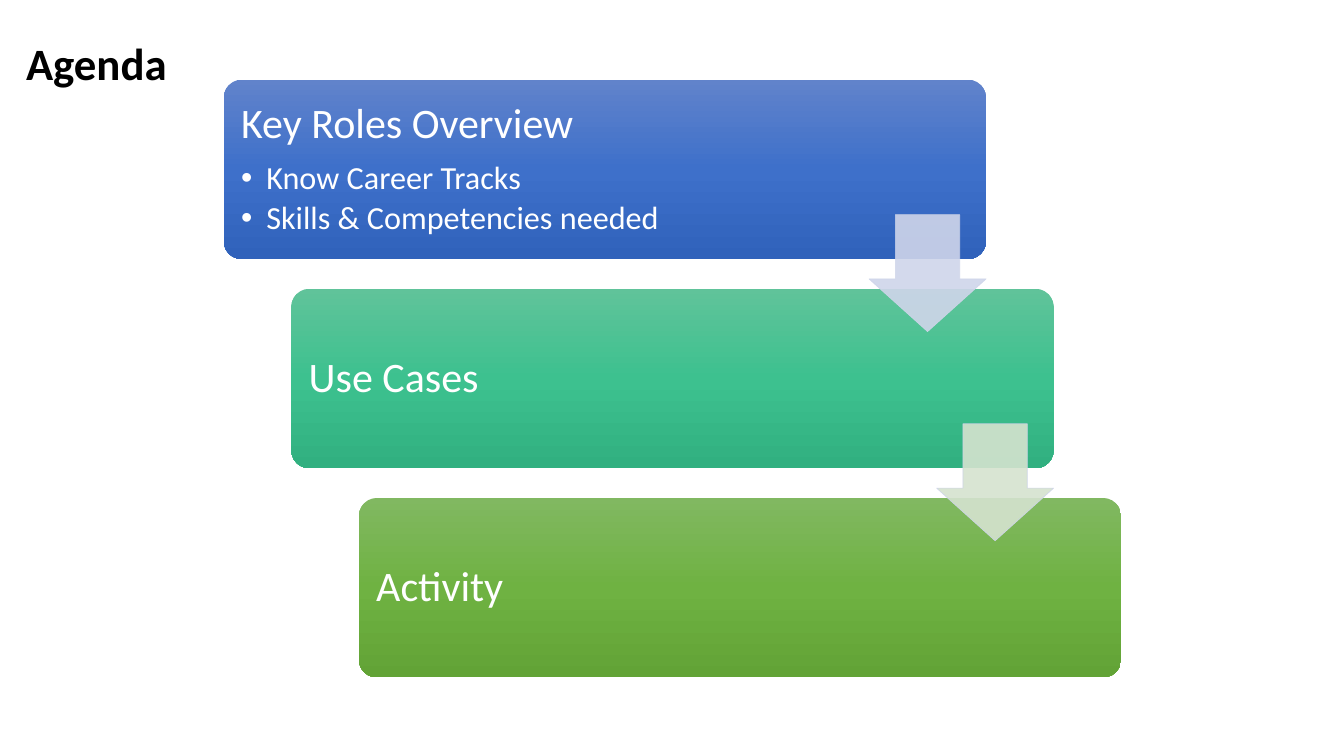
import copy
from dataclasses import dataclass

import lxml.etree
import pptx
import pptx.dml.color
import pptx.enum.shapes
import pptx.enum.text
import pptx.oxml.ns
import pptx.util

PX = 9144  # EMU: 100 px to the inch


@dataclass(frozen=True)
class Theme:
    font: str = "Calibri"
    title_size: int = 32
    topic_size: int = 30
    detail_size: int = 23
    title_color: str = "000000"
    topic_color: str = "FFFFFF"
    arrow_line: str = "CFD5EA"
    arrow_opacity: int = 90
    card_gradients: tuple = (
        ("6183CB", "3E70CA", "3062BB"),
        ("60C39A", "3DC18F", "31B080"),
        ("81B861", "6FB242", "62A336"),
    )
    arrow_fills: tuple = ("CFD5EA", "D5E3CF")


THEME = Theme()
AGENDA = (
    ("Key Roles Overview", ("Know Career Tracks", "Skills & Competencies needed")),
    ("Use Cases", ()),
    ("Activity", ()),
)


def px(length):
    return pptx.util.Emu(round(length * PX))


def rgb(code):
    return pptx.dml.color.RGBColor.from_string(code)


def add_child(parent, tag, **attributes):
    return lxml.etree.SubElement(parent, pptx.oxml.ns.qn(tag), attributes)


def style_paragraph(paragraph, size, color, space_after=0, bold=False):
    paragraph.alignment = pptx.enum.text.PP_ALIGN.LEFT
    paragraph.line_spacing = 0.9
    paragraph.space_after = pptx.util.Pt(space_after)
    font = paragraph.font
    font.name, font.size, font.bold = THEME.font, pptx.util.Pt(size), bold
    font.color.rgb = rgb(color)


def add_bullet(paragraph, indent):
    properties = paragraph._p.get_or_add_pPr()
    properties.set("marL", str(px(indent)))
    properties.set("indent", str(-px(indent)))
    add_child(properties, "a:buFont", typeface="Arial")
    add_child(properties, "a:buChar", char="•")


def fill_gradient(shape, colors):
    """Fill from top to bottom with evenly spaced colours."""
    shape.fill.gradient()
    shape.fill.gradient_angle = 270
    stop_list = shape._element.spPr.find(".//" + pptx.oxml.ns.qn("a:gsLst"))
    for _ in colors[2:]:
        stop_list.append(copy.deepcopy(stop_list[0]))
    for index, (stop, color) in enumerate(zip(shape.fill.gradient_stops, colors)):
        stop.position = index / (len(colors) - 1)
        stop.color.rgb = rgb(color)


def add_title(slide, left, top, width, height):
    title = slide.shapes.add_textbox(px(left), px(top), px(width), px(height)).text_frame
    title.word_wrap = True
    title.vertical_anchor = pptx.enum.text.MSO_ANCHOR.MIDDLE
    title.text = "Agenda"
    style_paragraph(title.paragraphs[0], THEME.title_size, THEME.title_color, bold=True)


def add_card(slide, left, top, width, height, topic, details, colors):
    card = slide.shapes.add_shape(
        pptx.enum.shapes.MSO_SHAPE.ROUNDED_RECTANGLE,
        px(left), px(top), px(width), px(height))
    card.adjustments[0] = 0.1
    card.shadow.inherit = False
    card.line.fill.background()
    fill_gradient(card, colors)

    text = card.text_frame
    text.word_wrap = True
    text.vertical_anchor = pptx.enum.text.MSO_ANCHOR.MIDDLE
    text.margin_left = text.margin_right = text.margin_top = text.margin_bottom = px(12)
    text.text = topic
    style_paragraph(text.paragraphs[0], THEME.topic_size, THEME.topic_color, space_after=10.5)
    for detail in details:
        line = text.add_paragraph()
        line.text = detail
        line.level = 1
        line.space_after = pptx.util.Pt(0)
        add_bullet(line, 25)
        style_paragraph(line, THEME.detail_size, THEME.topic_color, space_after=3.5)


def add_arrow(slide, left, top, size, color):
    arrow = slide.shapes.add_shape(
        pptx.enum.shapes.MSO_SHAPE.DOWN_ARROW, px(left), px(top), px(size), px(size))
    # The first adjustment is the shaft width, the second the head length.
    arrow.adjustments[0], arrow.adjustments[1] = 0.55, 0.45
    arrow.shadow.inherit = False
    arrow.fill.solid()
    arrow.fill.fore_color.rgb = rgb(color)
    arrow.line.color.rgb = rgb(THEME.arrow_line)
    arrow.line.width = pptx.util.Pt(0.5)
    for tint in arrow._element.spPr.iter(pptx.oxml.ns.qn("a:srgbClr")):
        add_child(tint, "a:alpha", val=str(THEME.arrow_opacity * 1000))


def add_staircase(slide, left, top, width, height):
    """Step the agenda cards down to the right, joined by arrows."""
    card_height, step_x, arrow_size, arrow_drop = 178, 67, 116, 134
    steps = len(AGENDA) - 1
    card_width = width - steps * step_x
    step_y = (height - card_height) / steps
    for index, (topic, details) in enumerate(AGENDA):
        add_card(slide, left + index * step_x, top + index * step_y,
                 card_width, card_height, topic, details, THEME.card_gradients[index])
    for index, color in enumerate(THEME.arrow_fills):
        add_arrow(slide, left + index * step_x + card_width - arrow_size,
                  top + index * step_y + arrow_drop, arrow_size, color)


def main():
    deck = pptx.Presentation()
    deck.slide_width, deck.slide_height = px(1333), px(750)
    slide = deck.slides.add_slide(deck.slide_layouts[6])
    add_title(slide, 16, 13, 866, 105)
    add_staircase(slide, 222, 79, 890, 593)
    deck.save("out.pptx")


if __name__ == "__main__":
    main()
